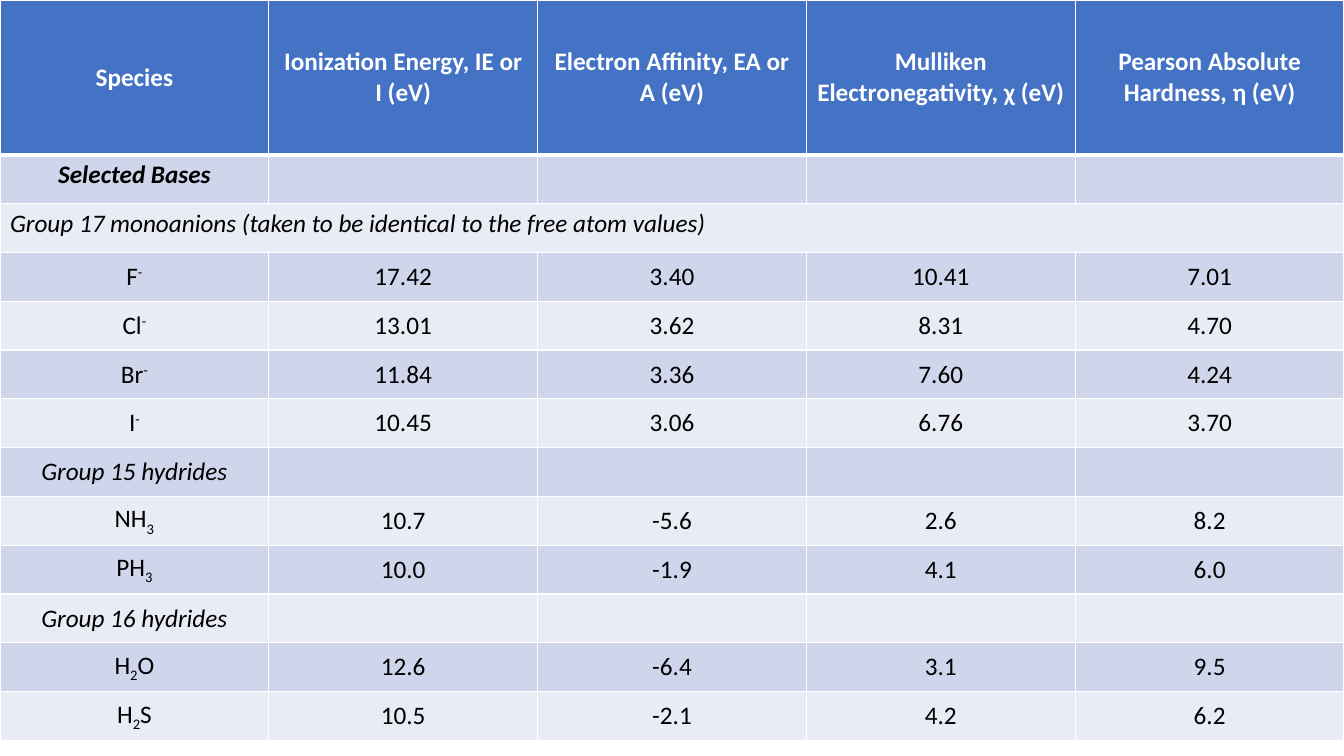
import pptx
import pptx.util
import pptx.dml.color
import pptx.enum.text
import pptx.oxml
import pptx.oxml.ns
from dataclasses import dataclass

Cm = pptx.util.Cm
Pt = pptx.util.Pt
ANCHOR = pptx.enum.text.MSO_ANCHOR
ALIGN = pptx.enum.text.PP_ALIGN


@dataclass(frozen=True)
class Theme:
    font: str = "Calibri"
    size: int = 18
    head: str = "4472C4"
    bands: tuple = ("CFD5EA", "E9EBF5")
    white: str = "FFFFFF"
    black: str = "000000"
    thin: int = 1
    thick: int = 3


THEME = Theme()
WIDTH, HEIGHT = Cm(33.87), Cm(19.05)
TOP, STEP = Cm(3.9), Cm(1.23)

HEADS = [
    "Species",
    "Ionization Energy, IE or I (eV)",
    "Electron Affinity, EA or A (eV)",
    "Mulliken Electronegativity, χ (eV)",
    "Pearson Absolute Hardness, η (eV)",
]
TITLE = "Selected Bases"
NOTE = "Group 17 monoanions (taken to be identical to the free atom values)"

# In species names, ^ raises and _ lowers the next character
ROWS = [
    [TITLE],
    [NOTE],
    ["F^-", "17.42", "3.40", "10.41", "7.01"],
    ["Cl^-", "13.01", "3.62", "8.31", "4.70"],
    ["Br^-", "11.84", "3.36", "7.60", "4.24"],
    ["I^-", "10.45", "3.06", "6.76", "3.70"],
    ["Group 15 hydrides"],
    ["NH_3", "10.7", "-5.6", "2.6", "8.2"],
    ["PH_3", "10.0", "-1.9", "4.1", "6.0"],
    ["Group 16 hydrides"],
    ["H_2O", "12.6", "-6.4", "3.1", "9.5"],
    ["H_2S", "10.5", "-2.1", "4.2", "6.2"],
]
SHIFTS = {"^": 30000, "_": -25000}


def split(text):
    """Yield each piece of text with its baseline shift."""
    piece, marks = "", iter(text)
    for mark in marks:
        if mark in SHIFTS:
            yield piece, 0
            yield next(marks), SHIFTS[mark]
            piece = ""
        else:
            piece += mark
    if piece:
        yield piece, 0


def write(cell, text, color, bold=False, slant=False, align=ALIGN.CENTER):
    para = cell.text_frame.paragraphs[0]
    para.alignment = align
    for piece, shift in split(text):
        run = para.add_run()
        run.text = piece
        font = run.font
        font.name, font.size = THEME.font, Pt(THEME.size)
        font.bold, font.italic = bold, slant
        font.color.rgb = pptx.dml.color.RGBColor.from_string(color)
        if shift:
            run._r.get_or_add_rPr().set("baseline", str(shift))


def paint(cell, color, above, below):
    """Fill a cell and draw its four borders."""
    cell.fill.solid()
    cell.fill.fore_color.rgb = pptx.dml.color.RGBColor.from_string(color)
    props = cell._tc.get_or_add_tcPr()
    sides = {"L": THEME.thin, "R": THEME.thin, "T": above, "B": below}
    for spot, (side, width) in enumerate(sides.items()):
        line = pptx.oxml.parse_xml(
            f'<a:ln{side} {pptx.oxml.ns.nsdecls("a")} w="{Pt(width)}">'
            f'<a:solidFill><a:srgbClr val="{THEME.white}"/></a:solidFill>'
            f'</a:ln{side}>')
        props.insert(spot, line)


def add_grid(slide):
    count = len(ROWS) + 1
    frame = slide.shapes.add_table(
        count, len(HEADS), 0, 0, WIDTH, TOP + STEP * len(ROWS))
    table = frame.table
    for col in table.columns:
        col.width = WIDTH // len(HEADS)
    for index, row in enumerate(table.rows):
        row.height = STEP if index else TOP
        color = THEME.bands[(index - 1) % 2] if index else THEME.head
        above = THEME.thick if index == 1 else THEME.thin
        below = THEME.thin if index else THEME.thick
        for cell in row.cells:
            paint(cell, color, above, below)
    return table


def fill_head(table):
    for cell, text in zip(table.rows[0].cells, HEADS):
        cell.vertical_anchor = ANCHOR.MIDDLE
        write(cell, text, THEME.white, bold=True)


def fill_body(table):
    for index, texts in enumerate(ROWS, 1):
        group = len(texts) == 1
        for col, text in enumerate(texts):
            cell = table.cell(index, col)
            if text not in (TITLE, NOTE):
                cell.vertical_anchor = ANCHOR.MIDDLE
            if text == NOTE:
                cell.merge(table.cell(index, len(HEADS) - 1))
            write(cell, text, THEME.black, bold=text == TITLE, slant=group,
                  align=ALIGN.LEFT if text == NOTE else ALIGN.CENTER)


def main():
    deck = pptx.Presentation()
    deck.slide_width, deck.slide_height = WIDTH, HEIGHT
    slide = deck.slides.add_slide(deck.slide_layouts[6])

    # Table frame, then its text
    table = add_grid(slide)
    fill_head(table)
    fill_body(table)
    deck.save("out.pptx")


if __name__ == "__main__":
    main()
